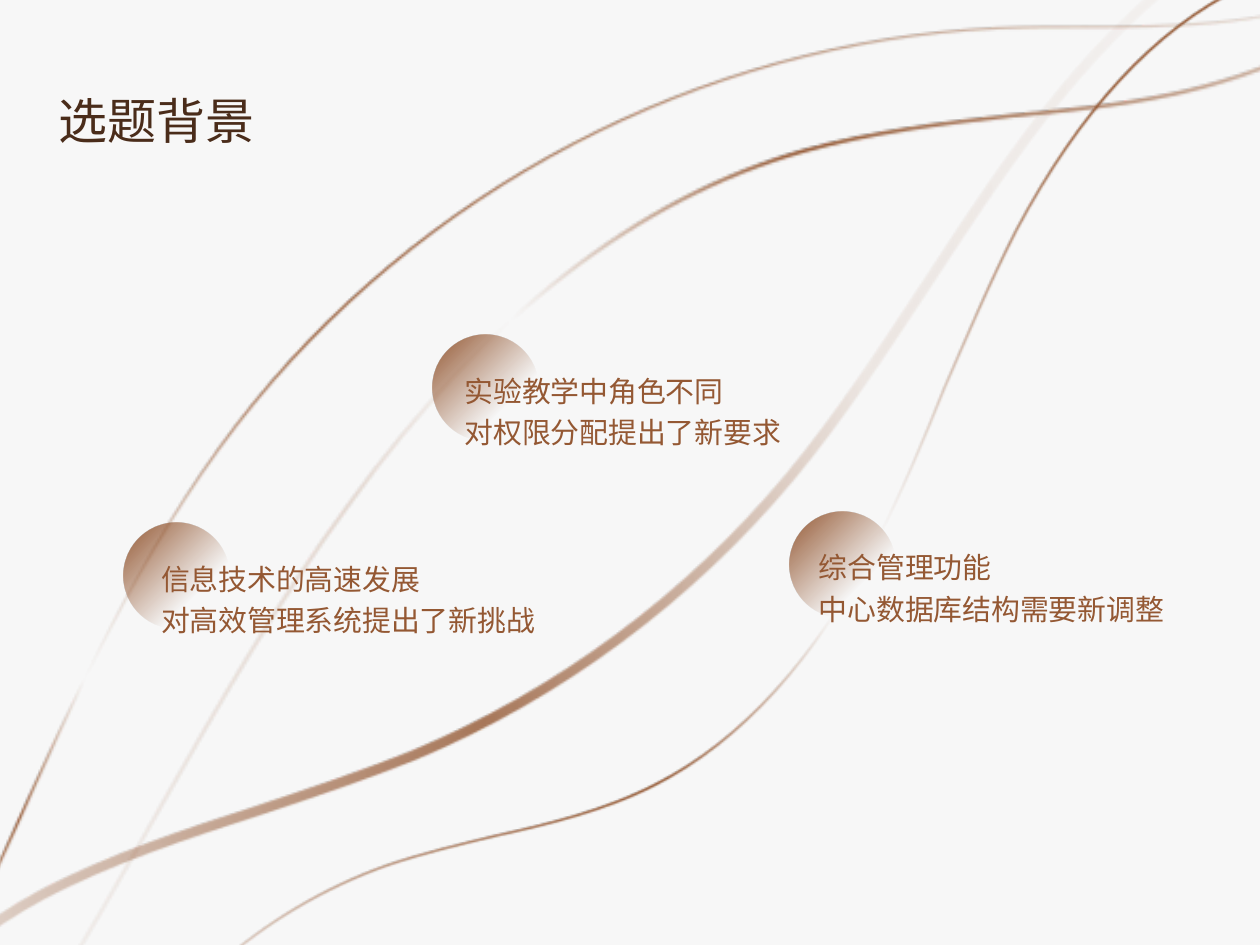
import math
from lxml import etree
from pptx import Presentation
from pptx.dml.color import RGBColor
from pptx.enum import shapes, text
from pptx.oxml import ns
from pptx.util import Inches, Pt

BROWN = RGBColor(0x94, 0x58, 0x33)
DARK = RGBColor(0x4A, 0x2C, 0x1A)
PAPER = RGBColor(0xF7, 0xF7, 0xF7)
FONT = "Noto Sans CJK SC"
TILT = -7.7

RIBBONS = [
    dict(width=0.08, angle=0, center=(4.14, 4.56), curve=[
        (-1.41, 9.55), (-1.42, 8.45), (-0.52, 7.57), (0.33, 7.11),
        (0.88, 6.82), (1.49, 6.62), (2.08, 6.43),
        (2.47, 6.3), (2.89, 6.16), (3.29, 6),
        (4.44, 5.52), (5.48, 4.75), (6.28, 3.79),
        (6.68, 3.31), (7.03, 2.77), (7.38, 2.24),
        (8.03, 1.25), (8.69, 0.23), (9.7, -0.41)],
        stops=[(6, 0), (47, 80), (70, 10), (100, 0)]),
    dict(width=0.02, angle=0, center=(4.06, 5.22), curve=[
        (-2.46, 10.78), (-1.27, 9.67), (-0.59, 8.16), (0.08, 6.68),
        (0.59, 5.55), (1.12, 4.37), (1.88, 3.38),
        (3.31, 1.52), (5.56, 0.34), (7.91, 0.23),
        (8.14, 0.22), (8.38, 0.22), (8.62, 0.22),
        (9.29, 0.22), (9.99, 0.21), (10.63, -0.02)],
        stops=[(0, 0), (21, 0), (26, 100), (30, 0), (43, 100), (100, 0)]),
    dict(width=0.03, angle=180, center=(4.43, 5.18), curve=[
        (-2.81, 11.25), (-1.65, 10.62), (-0.64, 9.57), (0.39, 7.95),
        (0.7, 7.45), (0.99, 6.94), (1.27, 6.44),
        (1.74, 5.61), (2.22, 4.77), (2.79, 4),
        (3.86, 2.52), (5.08, 1.58), (6.39, 1.21),
        (6.93, 1.06), (7.5, 0.99), (8.05, 0.93),
        (8.47, 0.89), (8.9, 0.85), (9.32, 0.76),
        (9.88, 0.64), (11.22, 0.25), (11.65, -0.89)],
        stops=[(0, 0), (37, 100), (50, 0), (58, 20), (80, 0)]),
    dict(width=0.02, angle=135, center=(5.32, 4.39), curve=[
        (0.78, 8.88), (1.26, 7.95), (2.09, 7.22), (3.07, 6.87),
        (3.36, 6.77), (3.66, 6.7), (3.95, 6.63),
        (4.36, 6.54), (4.81, 6.43), (5.2, 6.23),
        (5.89, 5.88), (6.48, 5.23), (6.97, 4.28),
        (7.17, 3.89), (7.34, 3.48), (7.5, 3.08),
        (7.68, 2.67), (7.86, 2.24), (8.07, 1.83),
        (8.57, 0.89), (9.16, 0.24), (9.86, -0.1)],
        stops=[(14, 100), (42, 0), (47, 0), (61, 100), (92, 0)]),
]

TOPICS = [
    ((0.98, 4.15), (1.18, 4.35, 3.2, 0.77), ["信息技术的高速发展", "对高效管理系统提出了新挑战"]),
    ((6.27, 4.06), (6.4, 4.26, 4.09, 0.77), ["综合管理功能", "中心数据库结构需要新调整"]),
    ((3.43, 2.66), (3.59, 2.86, 3.73, 0.77), ["实验教学中角色不同", "对权限分配提出了新要求"]),
]


def fade(sp, stops, angle):
    sp.shadow.inherit = False
    sp.line.fill.background()
    sp.fill.gradient()
    grad = sp._element.spPr.find(ns.qn("a:gradFill"))
    grad.set("rotWithShape", "1")
    for child in list(grad):
        grad.remove(child)
    stop_list = etree.SubElement(grad, ns.qn("a:gsLst"))
    for pos, alpha in stops:
        stop = etree.SubElement(stop_list, ns.qn("a:gs"), pos=str(pos * 1000))
        color = etree.SubElement(stop, ns.qn("a:srgbClr"), val=str(BROWN))
        etree.SubElement(color, ns.qn("a:alpha"), val=str(alpha * 1000))
    etree.SubElement(grad, ns.qn("a:lin"), ang=str(angle * 60000), scaled="0")


def ribbon_edges(curve, width):
    left, right = [], []
    for i, (x, y) in enumerate(curve):
        x0, y0 = curve[max(i - 1, 0)]
        x1, y1 = curve[min(i + 1, len(curve) - 1)]
        length = math.hypot(x1 - x0, y1 - y0)
        dx, dy = (y1 - y0) / length * width / 2, (x0 - x1) / length * width / 2
        left.append((x + dx, y + dy))
        right.append((x - dx, y - dy))
    return left + [right[-1]] * 2 + right[::-1]


def level(points, center):
    cx, cy = center
    cos, sin = math.cos(math.radians(-TILT)), math.sin(math.radians(-TILT))
    return [(Inches(cx + (x - cx) * cos - (y - cy) * sin),
             Inches(cy + (x - cx) * sin + (y - cy) * cos)) for x, y in points]


def bend(sp):
    segments = list(sp._element.iter(ns.qn("a:lnTo")))
    for i in range(0, len(segments) - 2, 3):
        cubic = etree.Element(ns.qn("a:cubicBezTo"))
        segments[i].addprevious(cubic)
        for segment in segments[i:i + 3]:
            cubic.append(segment[0])
            segment.getparent().remove(segment)


def add_ribbon(s, curve, width, center, stops, angle):
    points = level(ribbon_edges(curve, width), center)
    builder = s.shapes.build_freeform(*points[0])
    builder.add_line_segments(points[1:], close=False)
    sp = builder.convert_to_shape()
    bend(sp)
    outline = next(sp._element.iter(ns.qn("a:path")))
    etree.SubElement(outline, ns.qn("a:close"))
    sp.rotation = TILT
    fade(sp, stops, angle)


def add_dot(s, x, y):
    sp = s.shapes.add_shape(shapes.MSO_SHAPE.OVAL, *map(Inches, (x, y, 0.84, 0.84)))
    fade(sp, [(0, 100), (68, 0)], 45)


def add_text(s, box, lines, size, color, spacing=None, wrap=True):
    tf = s.shapes.add_textbox(*map(Inches, box)).text_frame
    tf.word_wrap = wrap
    tf.auto_size = text.MSO_AUTO_SIZE.SHAPE_TO_FIT_TEXT
    for i, line in enumerate(lines):
        p = tf.add_paragraph() if i else tf.paragraphs[0]
        p.line_spacing = spacing
        r = p.add_run()
        r.text = line
        for name, value in dict(name=FONT, size=Pt(size)).items():
            setattr(r.font, name, value)
        r.font.color.rgb = color
        etree.SubElement(r._r.get_or_add_rPr(), ns.qn("a:ea"), typeface=FONT)


def main():
    prs = Presentation()
    prs.slide_width, prs.slide_height = Inches(10), Inches(7.5)
    s = prs.slides.add_slide(prs.slide_layouts[6])
    s.background.fill.solid()
    s.background.fill.fore_color.rgb = PAPER
    for ribbon in RIBBONS:
        add_ribbon(s, **ribbon)
    for dot, box, lines in TOPICS:
        add_dot(s, *dot)
        add_text(s, box, lines, 16.5, BROWN, 1.2)
    add_text(s, (0.37, 0.67, 1.77, 0.57), ["选题背景"], 28, DARK, wrap=False)
    prs.save("out.pptx")


if __name__ == "__main__":
    main()
